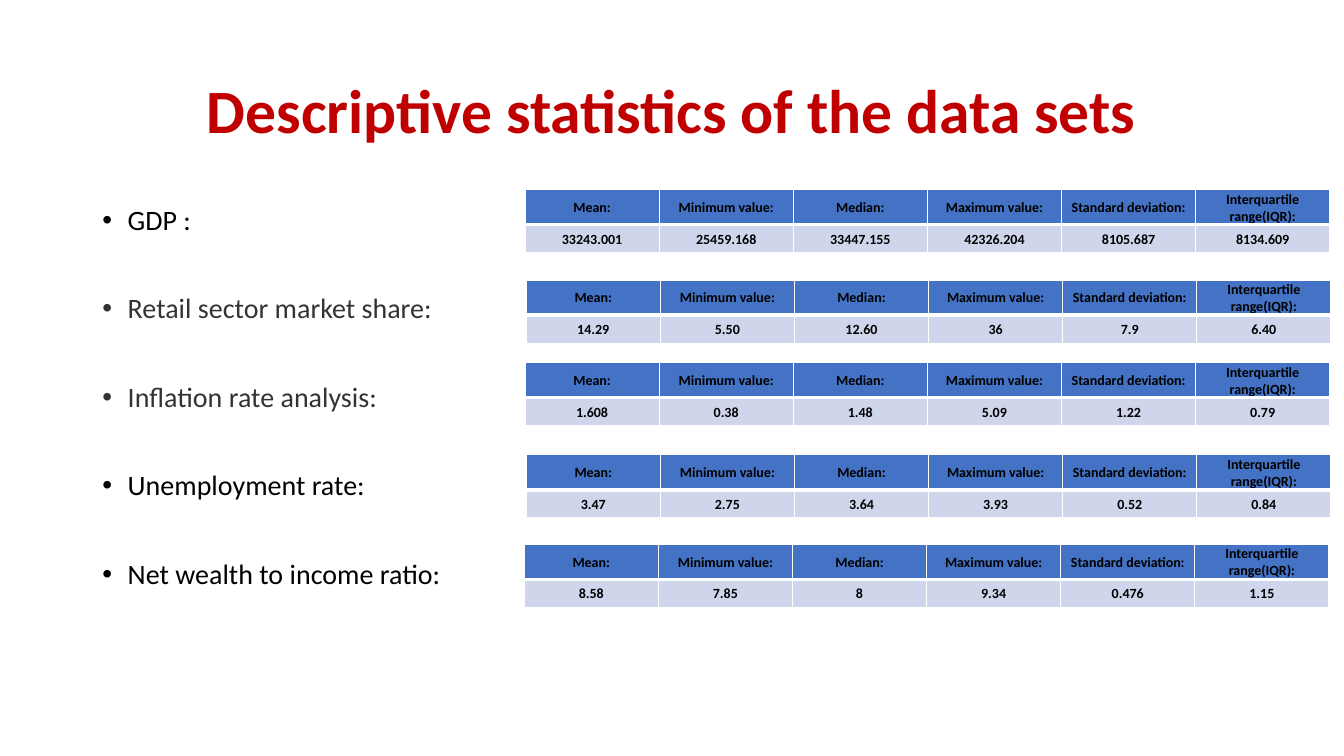
"""Build a slide of descriptive statistics for five economic data sets."""
from dataclasses import dataclass

from lxml import etree
from pptx import Presentation
from pptx.dml.color import RGBColor
from pptx.enum.text import MSO_ANCHOR, PP_ALIGN
from pptx.oxml.ns import qn
from pptx.util import Cm, Pt

CENTER = PP_ALIGN.CENTER
MIDDLE = MSO_ANCHOR.MIDDLE


@dataclass(frozen=True)
class Theme:
    font: str = "Calibri"
    title: str = "C00000"
    black: str = "000000"
    grey: str = "333333"
    header: str = "4472C4"
    values: str = "CFD5EA"
    border: str = "FFFFFF"
    title_size: float = 44
    bullet_size: float = 20
    table_size: float = 10


theme = Theme()


def add_run(paragraph, text, size, color, bold=False):
    run = paragraph.add_run()
    run.text = text
    run.font.name = theme.font
    run.font.size = Pt(size)
    run.font.bold = bold
    run.font.color.rgb = RGBColor.from_string(color)


def add_border(cell, side, width):
    line = etree.SubElement(cell._tc.get_or_add_tcPr(), qn(f"a:ln{side}"), w=str(Pt(width)))
    fill = etree.SubElement(line, qn("a:solidFill"))
    etree.SubElement(fill, qn("a:srgbClr"), val=theme.border)


measures = ["Mean:", "Minimum value:", "Median:", "Maximum value:",
            "Standard deviation:", "Interquartile range(IQR):"]
data_sets = [
    ("GDP :", theme.black, 13.23, 4.78,
     ["33243.001", "25459.168", "33447.155", "42326.204", "8105.687", "8134.609"]),
    ("Retail sector market share:", theme.grey, 13.26, 7.06,
     ["14.29", "5.50", "12.60", "36", "7.9", "6.40"]),
    ("Inflation rate analysis:", theme.grey, 13.23, 9.14,
     ["1.608", "0.38", "1.48", "5.09", "1.22", "0.79"]),
    ("Unemployment rate:", theme.black, 13.26, 11.46,
     ["3.47", "2.75", "3.64", "3.93", "0.52", "0.84"]),
    ("Net wealth to income ratio:", theme.black, 13.21, 13.72,
     ["8.58", "7.85", "8", "9.34", "0.476", "1.15"]),
]

presentation = Presentation()
presentation.slide_width = Cm(33.87)
presentation.slide_height = Cm(19.05)
slide = presentation.slides.add_slide(presentation.slide_layouts[6])

title = slide.shapes.add_textbox(Cm(2.33), Cm(1.01), Cm(29.21), Cm(3.68)).text_frame
title.word_wrap = True
title.vertical_anchor = MIDDLE
heading = title.paragraphs[0]
heading.alignment = CENTER
heading.line_spacing = 0.9
add_run(heading, "Descriptive statistics of the data sets", theme.title_size, theme.title, True)

names = slide.shapes.add_textbox(Cm(2.33), Cm(5.07), Cm(29.21), Cm(12.09)).text_frame
names.word_wrap = True

for index, (name, color, left, top, values) in enumerate(data_sets):
    bullet = names.add_paragraph() if index else names.paragraphs[0]
    bullet.line_spacing = 0.9
    bullet.space_before = Pt(41.6 if index else 10)
    properties = bullet._p.get_or_add_pPr()
    properties.set("marL", str(Cm(0.64)))
    properties.set("indent", str(Cm(-0.64)))
    etree.SubElement(properties, qn("a:buFont"), typeface="Arial")
    etree.SubElement(properties, qn("a:buChar"), char="•")
    add_run(bullet, name, theme.bullet_size, color)

    statistics = slide.shapes.add_table(
        2, len(measures), Cm(left), Cm(top), Cm(20.27), Cm(1.57)).table
    for column in statistics.columns:
        column.width = Cm(3.38)
    for row, texts in enumerate([measures, values]):
        statistics.rows[row].height = Cm(0.71)
        for column, text in enumerate(texts):
            cell = statistics.cell(row, column)
            for side, width in [("L", 1), ("R", 1), ("T", 3 if row else 1), ("B", 1 if row else 3)]:
                add_border(cell, side, width)
            cell.fill.solid()
            cell.fill.fore_color.rgb = RGBColor.from_string(theme.values if row else theme.header)
            cell.margin_left = cell.margin_right = cell.margin_top = Cm(0.03)
            cell.margin_bottom = Cm(0)
            cell.vertical_anchor = MIDDLE
            entry = cell.text_frame.paragraphs[0]
            entry.alignment = CENTER
            add_run(entry, text, theme.table_size, theme.black, True)

presentation.save("out.pptx")
